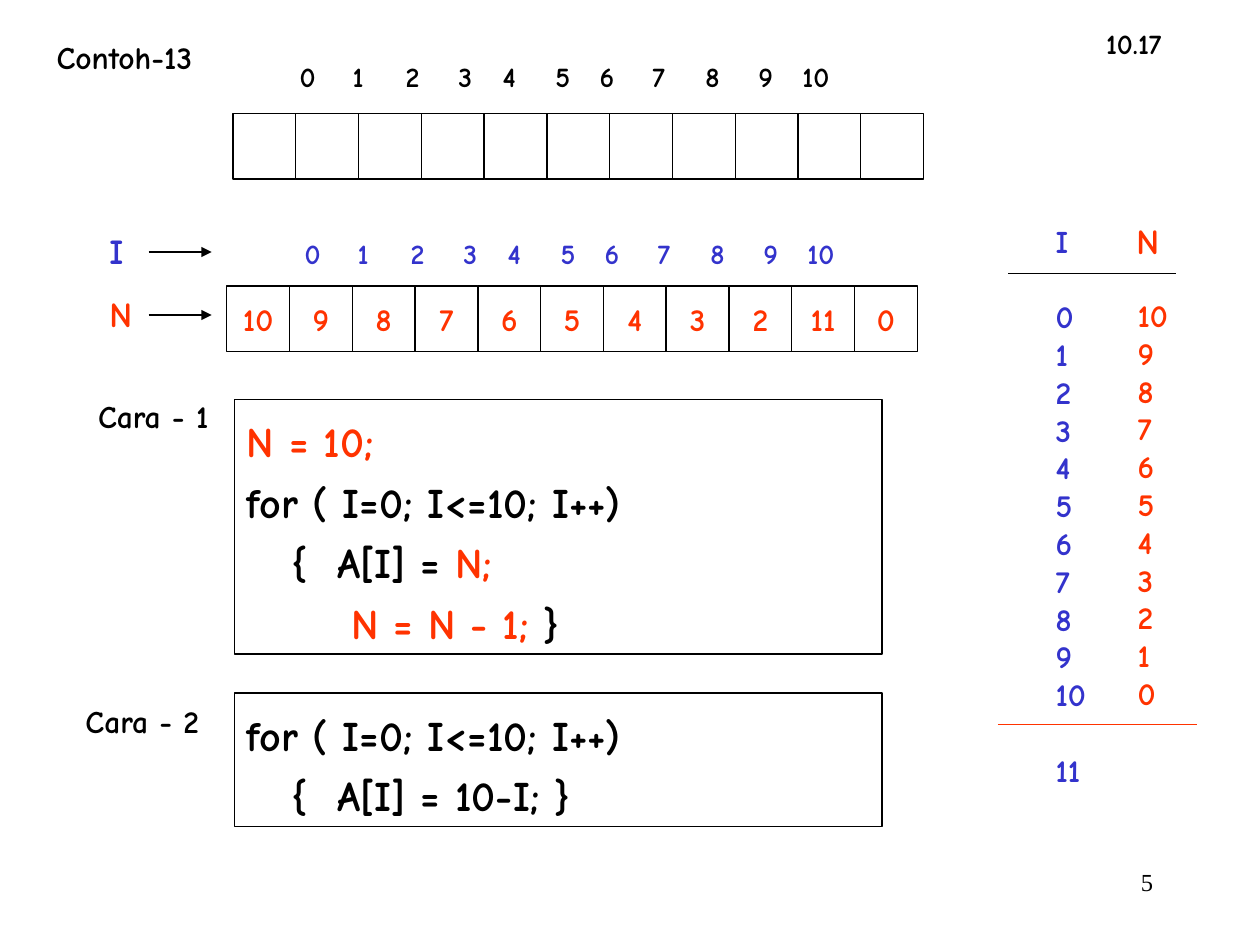
from itertools import accumulate

from lxml import etree
from pptx import Presentation
from pptx import util as u
from pptx.dml.color import RGBColor
from pptx.enum import shapes, text
from pptx.oxml import ns


class Theme:
    font, number_font = "Comic Neue", "Times New Roman"
    black = RGBColor(0x00, 0x00, 0x00)
    blue = RGBColor(0x33, 0x33, 0xCC)
    red = RGBColor(0xFF, 0x33, 0x00)
    page_size, small, body, heading, code = 14, 16, 18, 20, 24
    line = u.Pt(0.75)
    trace_line = u.Pt(21.6)


# Content
K, B, R = Theme.black, Theme.blue, Theme.red
INDEXES = [str(i) for i in range(11)]
VALUES = ["10", "9", "8", "7", "6", "5", "4", "3", "2", "11", "0"]
TRACE_N = INDEXES[::-1]
INDEX_GAPS = "4443434443"  # widths of the gaps between index labels
GAP_INCHES = {"3": 0.35, "4": 0.42}

LABELS = [  # text, left, top, width, height, size, colour
    ("10.17", 8.68, 0.16, 0.64, 0.37, Theme.small, K),
    ("Contoh-13", 0.35, 0.25, 1.28, 0.40, Theme.body, K),
    ("Cara - 1", 0.68, 3.10, 1.08, 0.40, Theme.body, K),
    ("Cara - 2", 0.58, 5.52, 1.11, 0.40, Theme.body, K),
    ("I", 0.77, 1.77, 0.31, 0.44, Theme.heading, B),
    ("N", 0.77, 2.27, 0.38, 0.44, Theme.heading, R),
    ("N", 8.92, 1.69, 0.38, 0.44, Theme.heading, R),
]
ARRAYS = [(1.85, 0.90, [""] * 11), (1.80, 2.27, VALUES)]  # left, top, cells
INDEX_ROWS = [(2.28, 0.42, K), (2.32, 1.83, B)]  # left, top, colour
CODE_BOXES = [  # top, height, lines of (text, colour) spans
    (3.17, 2.02, [
        [("N = 10;", R)],
        [("for ( I=0; I<=10; I++)", K)],
        [("   {  A[I] = ", K), ("N;", R)],
        [("       ", K), ("N = N - 1;", R), (" }", K)],
    ]),
    (5.50, 1.06, [
        [("for ( I=0; I<=10; I++)", K)],
        [("   {  A[I] = 10-I; }", K)],
    ]),
]
LINES = [  # start x, end x, y, colour, arrow
    (8.00, 9.33, 2.17, K, False),
    (7.92, 9.50, 5.75, R, False),
    (1.18, 1.68, 2.00, K, True),
    (1.18, 1.68, 2.50, K, True),
]


def style(font, size, color, name=Theme.font):
    font.name, font.size, font.bold = name, u.Pt(size), name == Theme.font
    font.color.rgb = color


def add_text(page, lines, left, top, width, height, size, color, name=Theme.font):
    box = page.shapes.add_textbox(*map(u.Inches, (left, top, width, height)))
    box.text_frame.word_wrap = False
    box.text_frame.text = "\n".join(lines)
    for para in box.text_frame.paragraphs:
        style(para.font, size, color, name)
    return box


def add_rect(page, left, top, width, height):
    rect = page.shapes.add_shape(
        shapes.MSO_SHAPE.RECTANGLE, *map(u.Inches, (left, top, width, height)))
    rect.shadow.inherit = False
    rect.fill.background()
    rect.line.color.rgb, rect.line.width = Theme.black, Theme.line
    return rect


def add_array(page, left, top, values):
    pitch = 5.48 / len(values)
    for i, value in enumerate(values):
        frame = add_rect(page, left + i * pitch, top, pitch, 0.52).text_frame
        if value:
            frame.word_wrap = False
            frame.vertical_anchor = text.MSO_ANCHOR.MIDDLE
            para = frame.paragraphs[0]
            para.text, para.alignment = value, text.PP_ALIGN.CENTER
            style(para.font, Theme.body, Theme.red)


def add_index_row(page, left, top, color):
    box = add_text(page, [], left, top, 4.55, 0.37, Theme.small, color)
    para = box.text_frame.paragraphs[0]
    para.text = "\t".join(INDEXES)
    tabs = etree.Element(ns.qn("a:tabLst"))
    for stop in accumulate(GAP_INCHES[gap] for gap in INDEX_GAPS):
        etree.SubElement(tabs, ns.qn("a:tab"), pos=str(u.Inches(stop)), algn="l")
    para._p.get_or_add_pPr().insert(0, tabs)


def add_code(page, top, height, lines):
    frame = add_rect(page, 1.86, top, 5.14, height).text_frame
    frame.word_wrap = True
    frame.vertical_anchor = text.MSO_ANCHOR.TOP
    for i, spans in enumerate(lines):
        para = frame.add_paragraph() if i else frame.paragraphs[0]
        para.alignment, para.line_spacing = text.PP_ALIGN.LEFT, 1.2
        for words, color in spans:
            span = para.add_run()
            span.text = words
            style(span.font, Theme.code, color)


def add_line(page, start, end, y, color, arrow):
    line = page.shapes.add_connector(
        shapes.MSO_CONNECTOR.STRAIGHT, *map(u.Inches, (start, y, end, y)))
    line.line.color.rgb, line.line.width = color, Theme.line
    if arrow:
        etree.SubElement(line.line._get_or_add_ln(), ns.qn("a:tailEnd"), type="triangle")
    etree.SubElement(line._element.spPr, ns.qn("a:effectLst"))


def main():
    deck = Presentation()
    deck.slide_width, deck.slide_height = u.Inches(10), u.Inches(7.5)
    page = deck.slides.add_slide(deck.slide_layouts[6])

    # Headings and labels
    for label, *place in LABELS:
        add_text(page, [label], *place)

    # Arrays with their indexes
    for array in ARRAYS:
        add_array(page, *array)
    for row in INDEX_ROWS:
        add_index_row(page, *row)

    # Two ways to fill the array
    for code in CODE_BOXES:
        add_code(page, *code)

    # Trace of I and N
    trace = add_text(page, ["I", *INDEXES, "11"], 8.28, 1.71, 0.44, 4.6, Theme.body, Theme.blue)
    for row in (1, -1):
        trace.text_frame.paragraphs[row].space_before = Theme.trace_line
    add_text(page, TRACE_N, 8.93, 2.3, 0.44, 3.4, Theme.body, Theme.red)

    # Rules and arrows
    for line in LINES:
        add_line(page, *line)

    # Page number
    number = add_text(page, ["5"], 7.17, 6.83, 2.08, 0.5,
                      Theme.page_size, Theme.black, Theme.number_font)
    number.text_frame.word_wrap = True
    number.text_frame.paragraphs[0].alignment = text.PP_ALIGN.RIGHT

    deck.save("out.pptx")


if __name__ == "__main__":
    main()
